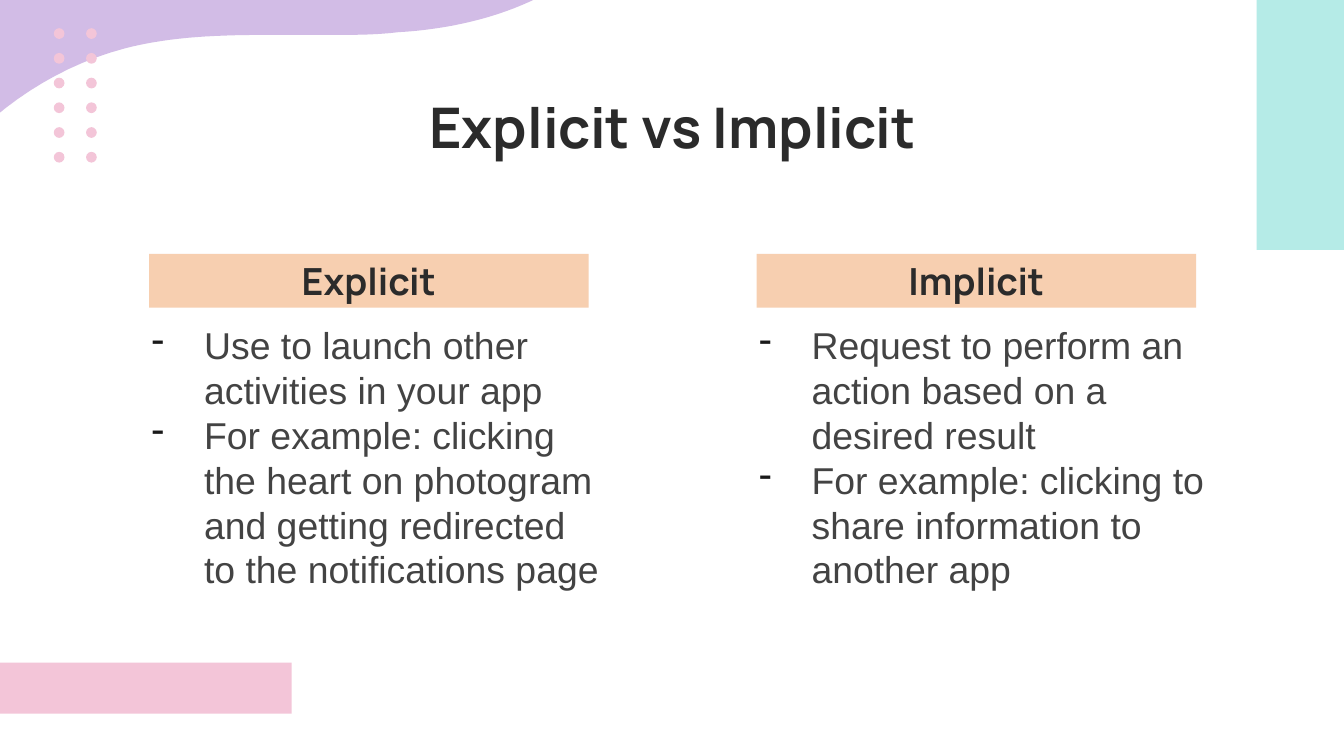
"""Build the slide that compares explicit and implicit intents."""
from lxml import etree
from pptx import Presentation
from pptx import util as u
from pptx.dml.color import RGBColor
from pptx.enum import shapes, text
from pptx.oxml import ns

TITLE = "Explicit vs Implicit"
COLUMNS = [
    ("Explicit", ["Use to launch other activities in your app",
                  "For example: clicking the heart on photogram and getting "
                  "redirected to the notifications page"]),
    ("Implicit", ["Request to perform an action based on a desired result",
                  "For example: clicking to share information to another app"]),
]
THEME = {
    "lilac": "D2BCE6", "mint": "B5EBE7", "pink": "F3C5D8", "peach": "F7CFB0",
    "ink": "2B2B2B", "body": "434343", "bullet": "191919",
    "display_font": "Manrope", "body_font": "Arial",
    "title_size": 30, "text_size": 20, "line_spacing": 1.0,
}
WIDTH = 10
HEIGHT = WIDTH * 9 / 16
COLUMN = {"left": 1.11, "pitch": 4.52, "width": 3.27, "outset": 0.19}
HEADING = {"top": 1.89, "height": 0.4}
BODY = {"top": 2.3, "height": 1.86}
DOTS = {"left": 0.4, "top": 0.21, "size": 0.08, "columns": 2, "rows": 6,
        "column_pitch": 0.24, "row_span": 0.92}
WAVE_CORNERS = [(-0.49, 1.36), (-0.49, -1.85), (4.01, -1.85), (4.01, -0.02)]
WAVE_CURVES = [
    [(3.69, 0.14), (3.32, 0.22), (2.96, 0.24)],
    [(2.8, 0.26), (2.64, 0.26), (2.47, 0.26)],
    [(2.32, 0.26), (2.16, 0.26), (2.01, 0.26)],
    [(1.64, 0.26), (1.28, 0.27), (0.93, 0.36)],
    [(0.36, 0.51), (-0.15, 0.88), (-0.49, 1.36)],
]
CURVE_STEPS = 16


def inches(*lengths):
    return [u.Inches(length) for length in lengths]


def paint(shape, color):
    shape.shadow.inherit = False
    shape.fill.solid()
    shape.fill.fore_color.rgb = RGBColor.from_string(THEME[color])
    shape.line.fill.background()
    return shape


def add_block(slide, kind, box, color):
    return paint(slide.shapes.add_shape(kind, *inches(*box)), color)


def curve_points(start, controls):
    corners = [start, *controls]
    for step in range(1, CURVE_STEPS + 1):
        t = step / CURVE_STEPS
        weights = [(1 - t) ** 3, 3 * t * (1 - t) ** 2, 3 * t ** 2 * (1 - t), t ** 3]
        yield tuple(sum(w * corner[axis] for w, corner in zip(weights, corners))
                    for axis in (0, 1))


def add_wave(slide):
    outline = list(WAVE_CORNERS)
    for controls in WAVE_CURVES:
        outline += list(curve_points(outline[-1], controls))
    start, *rest = [inches(*point) for point in outline]
    builder = slide.shapes.build_freeform(*start)
    builder.add_line_segments(rest, close=True)
    paint(builder.convert_to_shape(), "lilac")


def add_dots(slide):
    row_pitch = DOTS["row_span"] / (DOTS["rows"] - 1)
    for column in range(DOTS["columns"]):
        for row in range(DOTS["rows"]):
            left = DOTS["left"] + column * DOTS["column_pitch"]
            top = DOTS["top"] + row * row_pitch
            add_block(slide, shapes.MSO_SHAPE.OVAL,
                      (left, top, DOTS["size"], DOTS["size"]), "pink")


def prepare_frame(shape, anchor):
    frame = shape.text_frame
    frame.word_wrap = True
    frame.vertical_anchor = anchor
    frame.margin_left = frame.margin_right = u.Inches(0.1)
    frame.margin_top = frame.margin_bottom = u.Inches(0.1)
    return frame


def style_font(font, face, size, color, bold=False):
    font.name, font.size, font.bold = THEME[face], u.Pt(THEME[size]), bold
    font.color.rgb = RGBColor.from_string(THEME[color])


def write_display(shape, words, size, anchor):
    frame = prepare_frame(shape, anchor)
    frame.text = words
    paragraph = frame.paragraphs[0]
    paragraph.alignment = text.PP_ALIGN.CENTER
    style_font(paragraph.runs[0].font, "display_font", size, "ink", True)


def add_dash(paragraph):
    properties = paragraph._p.get_or_add_pPr()
    properties.set("marL", str(u.Inches(0.5)))
    properties.set("indent", str(u.Inches(-0.39)))
    color = etree.SubElement(properties, ns.qn("a:buClr"))
    etree.SubElement(color, ns.qn("a:srgbClr"), val=THEME["bullet"])
    etree.SubElement(properties, ns.qn("a:buChar"), char="-")


def write_points(shape, points):
    frame = prepare_frame(shape, text.MSO_ANCHOR.TOP)
    frame.text = "\n".join(points)
    for paragraph in frame.paragraphs:
        add_dash(paragraph)
        paragraph.line_spacing = THEME["line_spacing"]
        style_font(paragraph.runs[0].font, "body_font", "text_size", "body")


def add_column(slide, index, heading, points):
    left = COLUMN["left"] + index * COLUMN["pitch"]
    banner = add_block(slide, shapes.MSO_SHAPE.RECTANGLE,
                       (left, HEADING["top"], COLUMN["width"], HEADING["height"]), "peach")
    write_display(banner, heading, "text_size", text.MSO_ANCHOR.MIDDLE)
    body = slide.shapes.add_textbox(*inches(
        left - COLUMN["outset"], BODY["top"],
        COLUMN["width"] + 2 * COLUMN["outset"], BODY["height"]))
    write_points(body, points)


def main():
    deck = Presentation()
    deck.slide_width, deck.slide_height = inches(WIDTH, HEIGHT)
    slide = deck.slides.add_slide(deck.slide_layouts[6])
    add_wave(slide)
    add_block(slide, shapes.MSO_SHAPE.RECTANGLE, (9.35, 0, 0.68, 1.86), "mint")
    add_block(slide, shapes.MSO_SHAPE.RECTANGLE, (0, 4.93, 2.17, 0.38), "pink")
    add_dots(slide)
    title = slide.shapes.add_textbox(*inches(0.79, 0.59, 8.43, 0.63))
    write_display(title, TITLE, "title_size", text.MSO_ANCHOR.TOP)
    for index, (heading, points) in enumerate(COLUMNS):
        add_column(slide, index, heading, points)
    deck.save("out.pptx")


if __name__ == "__main__":
    main()
